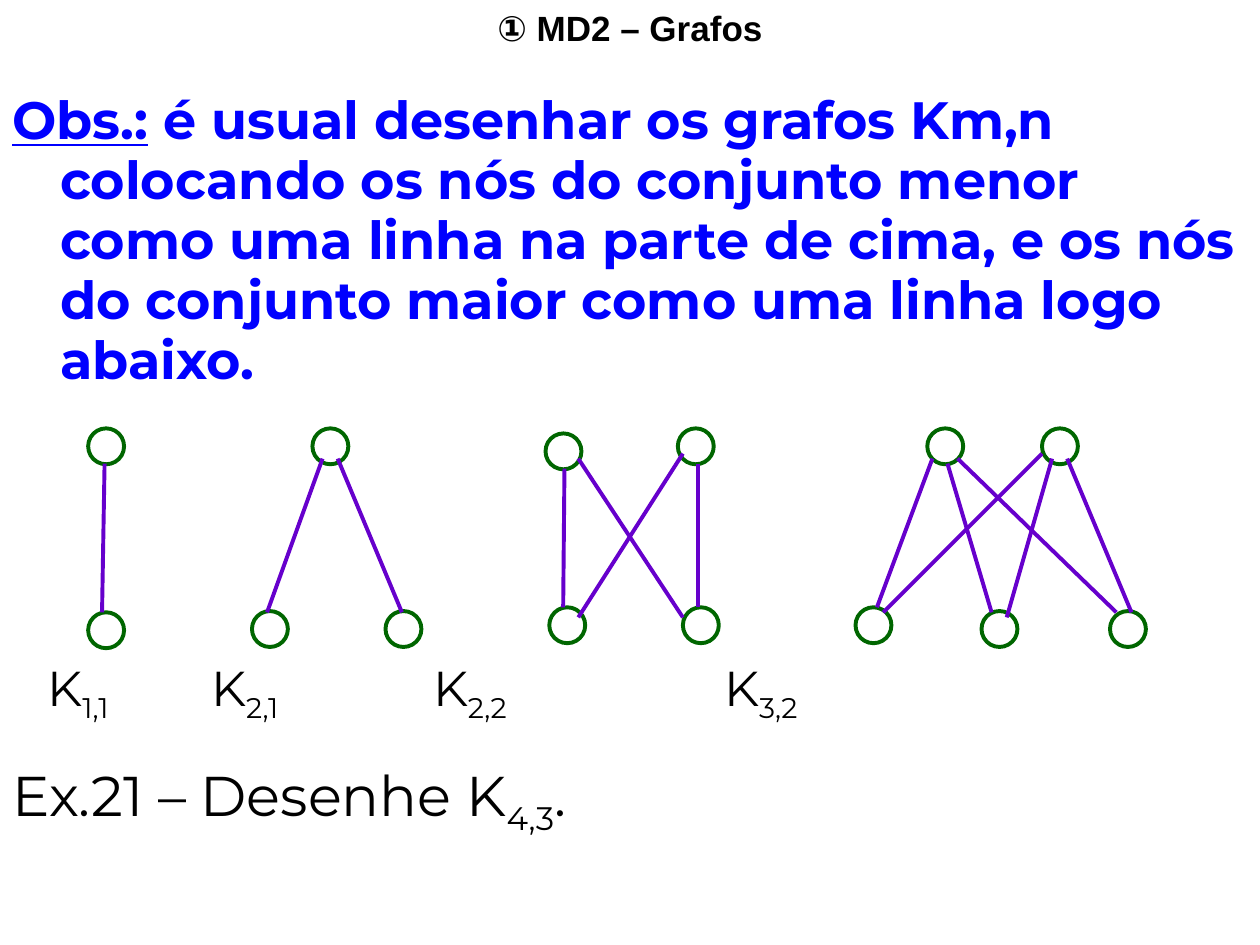
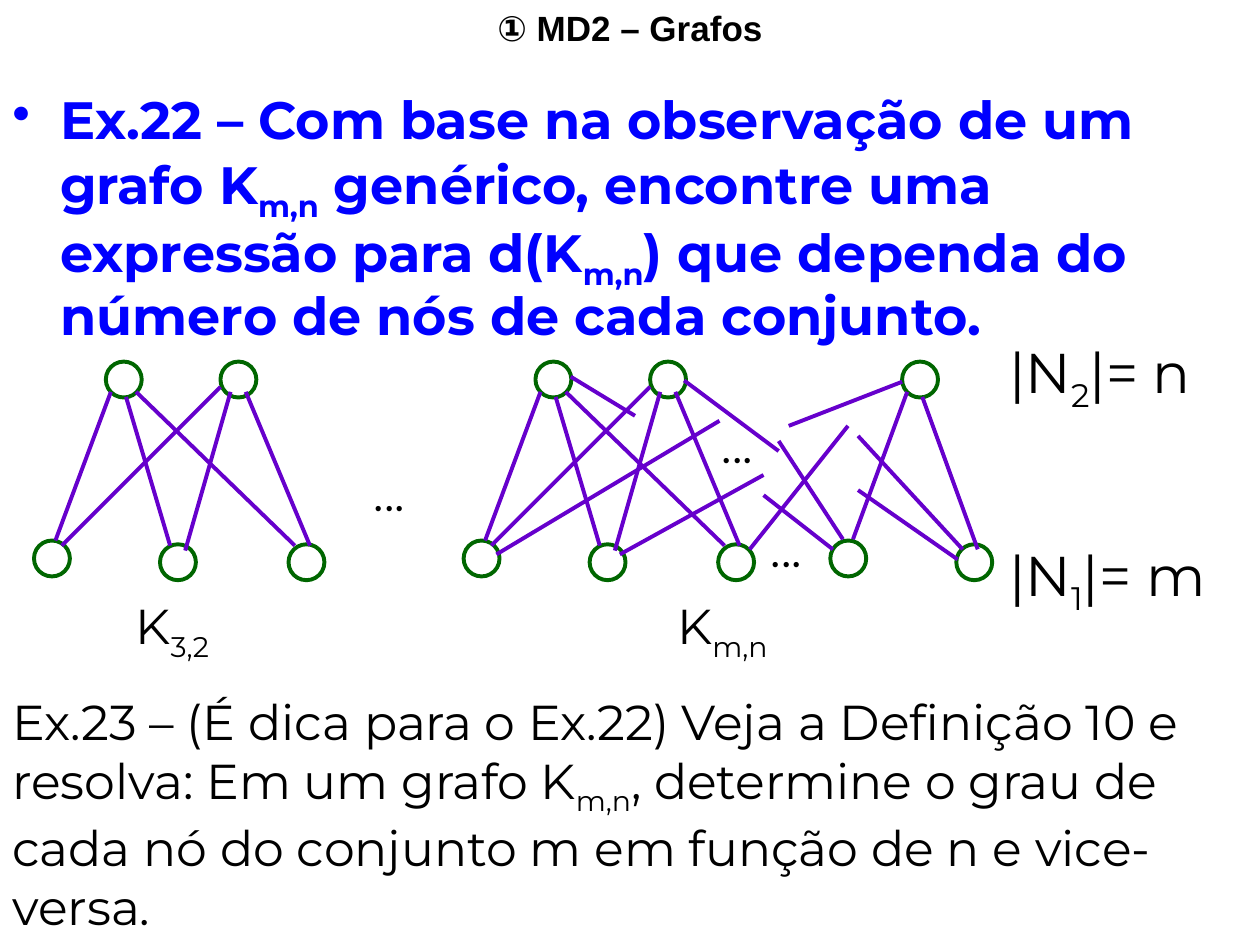
from lxml import etree
from pptx import Presentation
from pptx.dml.color import RGBColor
from pptx.enum.shapes import MSO_CONNECTOR, MSO_SHAPE
from pptx.enum.text import MSO_ANCHOR, MSO_AUTO_SIZE, PP_ALIGN
from pptx.oxml.ns import qn
from pptx.util import Inches, Pt

CIRCLE = MSO_SHAPE.FLOWCHART_CONNECTOR
STRAIGHT = MSO_CONNECTOR.STRAIGHT
TOP = MSO_ANCHOR.TOP
CENTER = PP_ALIGN.CENTER
FIXED_SIZE = MSO_AUTO_SIZE.NONE
TITLE_ONLY = 5

# The slide is a grid of 100 columns by 75 rows of square cells.
COLUMNS, ROWS = 100, 75
CELL = Inches(0.1)
NODE_SIZE = 2.85
LINE_WIDTH = Pt(2.25)

BLACK, WHITE, BLUE = "000000", "FFFFFF", "0000FF"
GREEN, PURPLE = "006600", "6600CC"
TITLE_FONT, BODY_FONT = "Arial", "Montserrat"

# Graphs: node corners and edge ends, in cells from the graph's own corner.
K11 = ([(0, 0), (0, 14.6)], [(1.3, 2.8, 1.1, 14.6)])
K21 = (
    [(4.8, 0), (10.6, 14.5), (0, 14.5)],
    [(6.8, 2.4, 11.9, 14.6), (5.6, 2.4, 1.2, 14.6)],
)
K22 = (
    [(0, 0.4), (10.5, 0), (10.9, 14.2), (0.3, 14.2)],
    [(1.5, 3.2, 1.4, 14.2), (10.9, 2, 2.6, 15),
     (10.9, 15, 2.6, 2.4), (12.1, 2.8, 12.1, 14.2)],
)
K32 = (
    [(5.7, 0), (14.8, 0), (0, 14.2), (10, 14.5), (20.2, 14.5)],
    [(6.1, 2.4, 1.7, 14.2), (16.8, 2.4, 21.9, 14.6), (15.6, 2.4, 12, 15),
     (14.8, 2, 2.2, 14.6), (8.1, 2.4, 20.7, 14.6), (7.3, 2.8, 10.8, 14.6)],
)
KMN = (
    K32[0] + [(34.8, 0), (29.1, 14.2), (39.1, 14.5)],
    K32[1] + [
        (35.2, 2.4, 30.9, 14.1), (30.5, 5.1, 22.7, 14.9),
        (17.5, 1.5, 25, 7.1), (34.8, 1.6, 25.8, 5.1),
        (20.3, 4.7, 2.6, 15.3), (36.4, 2.8, 40.8, 14.9),
        (12.4, 15.3, 23.8, 9), (39.6, 14.9, 31.3, 5.9),
        (39.2, 15.7, 31.3, 10.2), (30.1, 14.1, 25, 6.3),
        (29.3, 14.9, 23.8, 10.6), (8.5, 1.2, 13.6, 4.3)],
)


def color(value):
    return RGBColor.from_string(value)


def cells(*values):
    return [round(value * CELL) for value in values]


def format_run(run, size, fill, bold, font=BODY_FONT):
    run.font.name = font
    run.font.size = Pt(size)
    run.font.bold = bold
    run.font.color.rgb = color(fill)


def add_rich_text(paragraph, text, size, fill=BLACK, bold=False):
    """Write text in which [..] marks a subscript and <..> an underline."""
    marked = text.replace("[", "|[").replace("]", "|").replace("<", "|<").replace(">", "|")
    # A doubled bar stands for a bar that is shown.
    for piece in marked.replace("¦", "\0").split("|"):
        if not piece:
            continue
        run = paragraph.add_run()
        run.text = piece.lstrip("[<").replace("\0", "|")
        format_run(run, size, fill, bold)
        if piece.startswith("["):
            run._r.get_or_add_rPr().set("baseline", "-25000")
        elif piece.startswith("<"):
            run.font.underline = True


def add_text(slide, box, lines, size, gap=0):
    """Add black paragraphs, with a gap in points between them."""
    text_frame = slide.shapes.add_textbox(*cells(*box)).text_frame
    text_frame.word_wrap = True
    for index, line in enumerate(lines):
        paragraph = text_frame.add_paragraph() if index else text_frame.paragraphs[0]
        if index:
            paragraph.space_before = Pt(gap)
        add_rich_text(paragraph, line, size)
    return text_frame


def add_statement(slide, box, text, bullet=False):
    """Add the blue hanging paragraph below the title."""
    text_frame = slide.shapes.add_textbox(*cells(*box)).text_frame
    text_frame.word_wrap = True
    paragraph = text_frame.paragraphs[0]
    properties = paragraph._p.get_or_add_pPr()
    indent = Inches(0.38)
    properties.set("marL", str(indent))
    properties.set("indent", str(-indent))
    if bullet:
        bullet_color = etree.SubElement(properties, qn("a:buClr"))
        etree.SubElement(bullet_color, qn("a:srgbClr"), val=BLUE)
        etree.SubElement(properties, qn("a:buChar"), char="•")
    paragraph.line_spacing = 0.95
    add_rich_text(paragraph, text, 30, BLUE, True)


def add_tabbed_labels(slide, box, labels, columns):
    """Add labels in one line, each at a tab stop given in columns."""
    text = "".join("\t" + label for label in labels)
    paragraph = add_text(slide, box, [text], 28).paragraphs[0]
    tabs = etree.SubElement(paragraph._p.get_or_add_pPr(), qn("a:tabLst"))
    for position in cells(*columns):
        etree.SubElement(tabs, qn("a:tab"), pos=str(position), algn="l")


def add_graph(slide, left, top, graph):
    nodes, edges = graph
    shapes = slide.shapes.add_group_shape().shapes
    for x, y in nodes:
        node = shapes.add_shape(CIRCLE, *cells(left + x, top + y, NODE_SIZE, NODE_SIZE))
        node.shadow.inherit = False
        node.fill.solid()
        node.fill.fore_color.rgb = color(WHITE)
        node.line.color.rgb = color(GREEN)
        node.line.width = LINE_WIDTH
    for x1, y1, x2, y2 in edges:
        edge = shapes.add_connector(
            STRAIGHT, *cells(left + x1, top + y1, left + x2, top + y2))
        edge.line.color.rgb = color(PURPLE)
        edge.line.width = LINE_WIDTH
        etree.SubElement(edge._element.spPr, qn("a:effectLst"))


def add_titled_slide(presentation):
    slide = presentation.slides.add_slide(presentation.slide_layouts[TITLE_ONLY])
    title = slide.shapes.title
    title.left, title.top, title.width, title.height = cells(0, 0, COLUMNS, 4.4)
    text_frame = title.text_frame
    text_frame.text = "① MD2 – Grafos"
    text_frame.word_wrap = True
    text_frame.auto_size = FIXED_SIZE
    text_frame.vertical_anchor = TOP
    paragraph = text_frame.paragraphs[0]
    paragraph.alignment = CENTER
    format_run(paragraph.runs[0], 20, BLACK, True, TITLE_FONT)
    return slide


def build_drawing_slide(presentation):
    slide = add_titled_slide(presentation)
    add_statement(
        slide, (0, 6.8, COLUMNS, 20),
        "<Obs.:> é usual desenhar os grafos Km,n colocando os nós do conjunto "
        "menor como uma linha na parte de cima, e os nós do conjunto maior "
        "como uma linha logo abaixo.")
    for left, graph in ((7, K11), (20, K21), (43.3, K22), (67.9, K32)):
        add_graph(slide, left, 34, graph)
    add_tabbed_labels(
        slide, (0, 51.7, COLUMNS, 6.3),
        ("K[1,1]", "K[2,1]", "K[2,2]", "K[3,2]"), (2.8, 15.8, 33.4, 56.5))
    add_text(slide, (0, 59.9, COLUMNS, 7.1), ["Ex.21 – Desenhe K[4,3]."], 32)


def build_degree_slide(presentation):
    slide = add_titled_slide(presentation)
    add_statement(
        slide, (0, 6.8, COLUMNS, 21.3),
        "Ex.22 – Com base na observação de um grafo K[m,n] genérico, encontre "
        "uma expressão para d(K[m,n]) que dependa do número de nós de cada "
        "conjunto.", bullet=True)
    for left, graph in ((2.7, K32), (36.8, KMN)):
        add_graph(slide, left, 28.7, graph)
    for left, label in ((9.8, "K[3,2]"), (52.8, "K[m,n]")):
        add_text(slide, (left, 46.8, 10.6, 6.3), [label], 28)
    for left, top in ((28.7, 36.2), (56.3, 32.4), (60.2, 40.7)):
        add_text(slide, (left, top, 6.3, 5.7), ["..."], 28)
    add_text(slide, (79.1, 26.3, 20.9, 23), ["¦N[2]¦= n", "¦N[1]¦= m"], 32, gap=72)
    add_text(
        slide, (0, 54.4, COLUMNS, 20),
        ["Ex.23 – (É dica para o Ex.22) Veja a Definição 10 e resolva: Em um "
         "grafo K[m,n], determine o grau de cada nó do conjunto m em função "
         "de n e vice-versa."], 28)


def main():
    presentation = Presentation()
    presentation.slide_width, presentation.slide_height = cells(COLUMNS, ROWS)
    build_drawing_slide(presentation)
    build_degree_slide(presentation)
    presentation.save("out.pptx")


if __name__ == "__main__":
    main()
